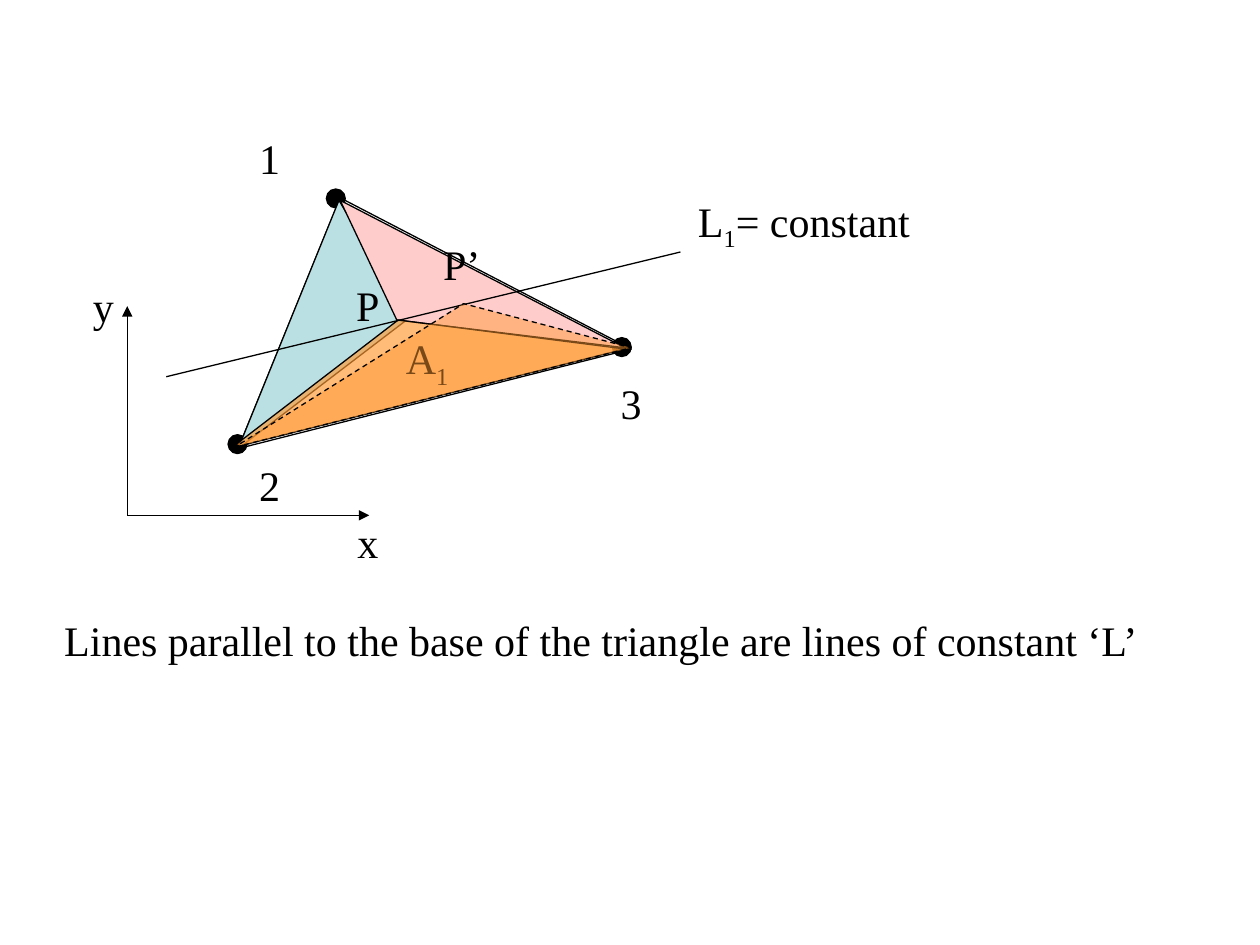
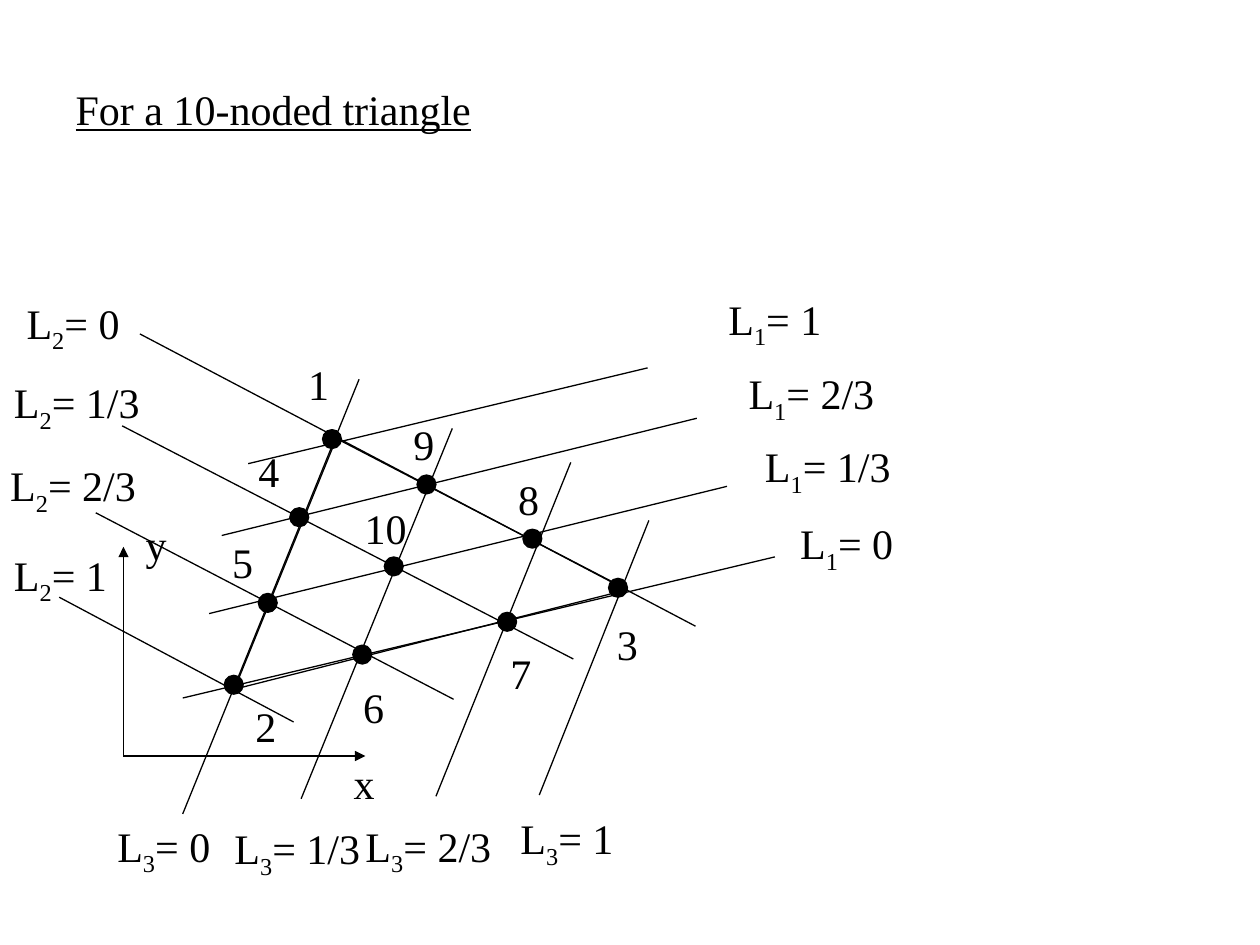
from pptx import Presentation
from pptx import util as u
from pptx.dml.color import RGBColor
from pptx.enum import dml, shapes, text
from pptx.oxml.ns import qn
from lxml import etree

INK, TEAL, PINK, AMBER = "000000", "BBE0E3", "FFCCCC", "FF9933"
FACE, SIZE, THIN, DOT = "Times New Roman", 24, 0.75, 0.15
COLS, ROWS = 10, 7.5
CELL = u.Inches(1)


def tint(name):
    """Return the colour for a hex string."""
    return RGBColor.from_string(name)


def cell(n):
    """Turn a number of grid cells into a length."""
    return u.Emu(round(n * CELL))


def shift(o, x, y):
    """Return the slide position of a point given from origin o."""
    return cell(o[0] + x), cell(o[1] + y)


def sub(node, tag, **attrs):
    """Append a drawing element with attributes."""
    return etree.SubElement(node, qn(tag), attrs)


def write(frame, words, align="c", line=False):
    """Fill a text frame; the character after an underscore is a subscript."""
    frame.word_wrap = False
    frame.auto_size = text.MSO_AUTO_SIZE.NONE
    frame.vertical_anchor = text.MSO_ANCHOR.TOP
    para = frame.paragraphs[0]
    para.alignment = text.PP_ALIGN.CENTER if align == "c" else text.PP_ALIGN.LEFT
    head, _, rest = words.partition("_")
    for part, low in ((head, False), (rest[:1], True), (rest[1:], False)):
        if part:
            run = para.add_run()
            run.text = part
            font = run.font
            font.name, font.size = FACE, u.Pt(SIZE)
            font.color.rgb = tint(INK)
            if line:
                font.underline = True
            if low:
                run._r.get_or_add_rPr().set("baseline", "-25000")


def label(slide, o, words, x, y, w=0.36):
    """Add a centred label at a place given from origin o."""
    h = 0.56 if "_" in words else 0.5
    box = slide.shapes.add_textbox(*shift(o, x, y), cell(w), cell(h))
    write(box.text_frame, words)


def head(slide, words, x, y, w, **form):
    """Move and fill the title placeholder."""
    title = slide.shapes.title
    title.left, title.top = cell(x), cell(y)
    title.width, title.height = cell(w), cell(0.5)
    write(title.text_frame, words, align="l", **form)


def rule(slide, o, x1, y1, x2, y2, arrow=False):
    """Draw a thin line, with an arrowhead at its end if asked."""
    bar = slide.shapes.add_connector(
        shapes.MSO_CONNECTOR.STRAIGHT, *shift(o, x1, y1), *shift(o, x2, y2))
    bar.line.color.rgb, bar.line.width = tint(INK), u.Pt(THIN)
    if arrow:
        sub(bar.line._get_or_add_ln(), "a:tailEnd", type="triangle")
    sub(bar._element.spPr, "a:effectLst")


def paint(shape, fill=None, alpha=None, dash=False):
    """Set the fill and outline of a shape."""
    shape.shadow.inherit = False
    shape.line.color.rgb, shape.line.width = tint(INK), u.Pt(THIN)
    if dash:
        shape.line.dash_style = dml.MSO_LINE.DASH
    if not fill:
        shape.fill.background()
        return
    shape.fill.solid()
    shape.fill.fore_color.rgb = tint(fill)
    if alpha:
        color = shape._element.spPr.find(qn("a:solidFill"))[0]
        sub(color, "a:alpha", val=str(alpha * 1000))


def area(slide, o, points, **form):
    """Draw a closed outline through points given from origin o."""
    spots = [shift(o, *p) for p in points]
    pen = slide.shapes.build_freeform(*spots[0])
    pen.add_line_segments(spots[1:], close=True)
    paint(pen.convert_to_shape(), **form)


def dot(slide, o, x, y):
    """Draw a node of the triangle."""
    paint(slide.shapes.add_shape(
        shapes.MSO_SHAPE.OVAL, *shift(o, x, y), cell(DOT), cell(DOT)), fill=INK)


def base(slide, o, one, up):
    """Draw the axes and the triangle, with labels 1 and y where given."""
    rule(slide, o, 0, 0, 0, -1.66, arrow=True)
    rule(slide, o, 0, 0, 1.92, 0, arrow=True)
    area(slide, o, [(0.88, -0.53), (4, -1.32), (1.69, -2.52)])
    for spot in ((1.58, -2.59), (0.8, -0.64), (3.85, -1.41)):
        dot(slide, o, *spot)
    for words, x, y in (("x", 1.73, -0.04), ("y", *up), ("1", *one),
                        ("2", 0.95, -0.49), ("3", 3.82, -1.14)):
        label(slide, o, words, x, y)


def split(slide, o):
    """Draw the triangle divided at P, with a line of constant L."""
    base(slide, o, one=(0.95, -3.09), up=(-0.37, -1.91))
    area(slide, o, [(0.88, -0.53), (2.23, -1.56), (1.68, -2.5)], fill=TEAL)
    area(slide, o, [(2.14, -1.55), (3.95, -1.33), (1.69, -2.5)], fill=PINK)
    area(slide, o, [(0.89, -0.55), (3.95, -1.32), (2.15, -1.55), (0.86, -0.56)],
         fill=AMBER, alpha=66)
    label(slide, o, "P", 1.72, -1.92, 0.38)
    label(slide, o, "A_1", 2.11, -1.5, 0.54)
    rule(slide, o, 0.31, -1.1, 4.39, -2.09)
    label(slide, o, "L_1= constant", 4.43, -2.59, 1.88)
    area(slide, o, [(0.93, -0.56), (4, -1.33), (2.67, -1.68), (0.9, -0.57)],
         fill=AMBER, alpha=48, dash=True)
    label(slide, o, "P’", 2.41, -2.25, 0.49)


STEPS = (("0", 0.94), ("1/3", 1.2), ("2/3", 1.2), ("1", 0.94))
LINES = {
    1: (((0.47, -0.46, 5.17, -1.58), (5.27, -1.94)),
        ((0.68, -1.13, 4.79, -2.14), (4.99, -2.55)),
        ((0.78, -1.75, 4.55, -2.68), (4.86, -3.13)),
        ((0.99, -2.32, 4.16, -3.08), (4.7, -3.72))),
    2: (((0.13, -3.35, 4.54, -1.03), (-0.87, -3.69)),
        ((-0.01, -2.62, 3.57, -0.77), (-0.97, -3.06)),
        ((-0.22, -1.93, 2.62, -0.45), (-1, -2.4)),
        ((-0.51, -1.26, 1.35, -0.27), (-0.97, -1.69))),
    3: (((1.87, -2.99, 0.47, 0.46), (-0.15, 0.46)),
        ((2.61, -2.6, 1.41, 0.34), (0.78, 0.48)),
        ((3.55, -2.33, 2.48, 0.32), (1.82, 0.46)),
        ((4.17, -1.87, 3.3, 0.31), (3.05, 0.4))),
}
NODES = {
    "4": ((1.32, -1.97), (0.97, -2.51)),
    "5": ((1.07, -1.29), (0.76, -1.79)),
    "6": ((1.82, -0.88), (1.8, -0.64)),
    "7": ((2.97, -1.14), (2.97, -0.91)),
    "8": ((3.17, -1.8), (3.03, -2.29)),
    "9": ((2.33, -2.23), (2.2, -2.73)),
    "10": ((2.07, -1.58), (1.75, -2.06)),
}


def mesh(slide, o):
    """Draw the triangle with ten nodes and its lines of constant L."""
    base(slide, o, one=(1.37, -3.2), up=(0.08, -1.93))
    for axis, rows in LINES.items():
        for (ends, spot), (value, w) in zip(rows, STEPS):
            rule(slide, o, *ends)
            label(slide, o, f"L_{axis}= {value}", *spot, w)
    for name, (spot, tag) in NODES.items():
        dot(slide, o, *spot)
        label(slide, o, name, *tag, 0.37 if len(name) == 1 else 0.66)


def main():
    """Build and save both slides."""
    deck = Presentation()
    deck.slide_width, deck.slide_height = cell(COLS), cell(ROWS)
    plain = deck.slide_layouts.get_by_name("Title Only")
    first, second = (deck.slides.add_slide(plain) for _ in range(2))
    head(first, "Lines parallel to the base of the triangle are lines of constant ‘L’",
         0.41, 4.83, 8.75)
    split(first, (1.01, 4.09))
    head(second, "For a 10-noded triangle", 0.5, 0.61, 3.34, line=True)
    mesh(second, (0.98, 6))
    deck.save("out.pptx")


if __name__ == "__main__":
    main()
